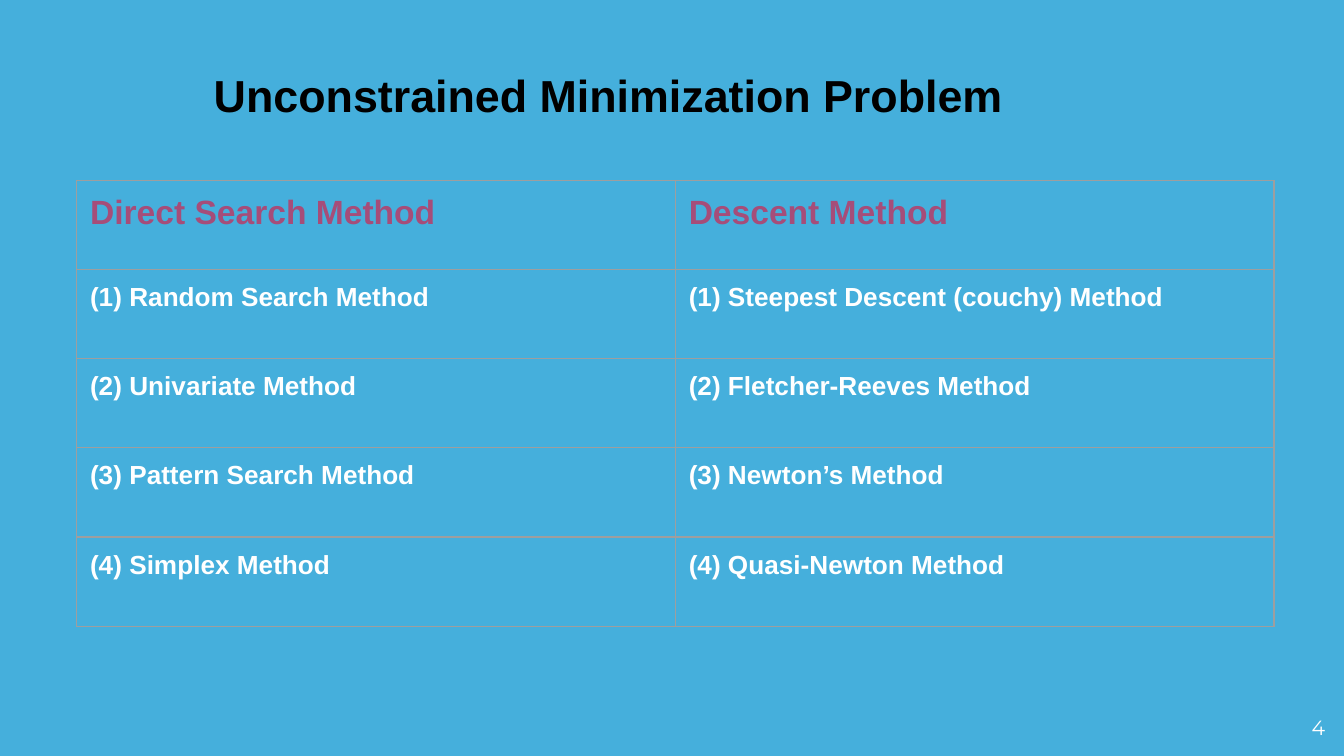
from pptx import Presentation
from pptx.dml.color import RGBColor
from pptx.enum.text import MSO_ANCHOR, MSO_AUTO_SIZE, PP_ALIGN
from pptx.oxml import parse_xml
from pptx.oxml.ns import nsdecls
from pptx.util import Inches, Pt

LEFT, RIGHT = PP_ALIGN.LEFT, PP_ALIGN.RIGHT
TOP = MSO_ANCHOR.TOP
NO_FIT = MSO_AUTO_SIZE.NONE

BLUE = RGBColor(0x45, 0xAF, 0xDC)
GREY = RGBColor(0x9E, 0x9E, 0x9E)
PLUM = RGBColor(0xA6, 0x4D, 0x79)
BLACK = RGBColor(0, 0, 0)
WHITE = RGBColor(0xFF, 0xFF, 0xFF)

TITLE = dict(name="Arial", size=Pt(24), bold=True, color=BLACK)
HEAD = dict(name="Arial", size=Pt(18), bold=True, color=PLUM)
ITEM = dict(name="Arial", size=Pt(14), bold=True, color=WHITE)
PAGE = dict(name="Montserrat", size=Pt(11), bold=False, color=WHITE)

PAD = Inches(0.1)
MARGINS = dict.fromkeys(
    ("margin_left", "margin_top", "margin_right", "margin_bottom"), PAD)
FRAME = dict(MARGINS, word_wrap=True, auto_size=NO_FIT, vertical_anchor=TOP)

METHODS = [
    ("Direct Search Method", "Descent Method"),
    ("(1) Random Search Method", "(1) Steepest Descent (couchy) Method"),
    ("(2) Univariate Method", "(2) Fletcher-Reeves Method"),
    ("(3) Pattern Search Method", "(3) Newton’s Method"),
    ("(4) Simplex Method", "(4) Quasi-Newton Method"),
]


def apply(target, values):
    for key, value in values.items():
        setattr(target, key, value)


def write(frame, text, style, align=LEFT):
    para = frame.paragraphs[0]
    para.alignment = align
    run = para.add_run()
    run.text = text
    for key, value in style.items():
        if key == "color":
            run.font.color.rgb = value
        else:
            setattr(run.font, key, value)


def add_title(slide, box, text):
    title = slide.shapes.title
    apply(title, dict(zip(("left", "top", "width", "height"), box)))
    apply(title.text_frame, FRAME)
    write(title.text_frame, text, TITLE)


def add_page(slide, box, text):
    frame = slide.shapes.add_textbox(*box).text_frame
    apply(frame, FRAME)
    write(frame, text, PAGE, RIGHT)


def set_edges(cell, color):
    """Draw all four borders of the cell."""
    props = cell._tc.get_or_add_tcPr()
    for spot, side in enumerate(("lnL", "lnR", "lnT", "lnB")):
        props.insert(spot, parse_xml(
            f'<a:{side} {nsdecls("a")} w="{Pt(0.75)}"><a:solidFill>'
            f'<a:srgbClr val="{color}"/></a:solidFill></a:{side}>'))


def add_methods(slide, box, rows):
    """Fill the box with an even grid, its first row as headings."""
    width, height = box[2:]
    count = len(rows[0])
    table = slide.shapes.add_table(len(rows), count, *box).table
    apply(table, dict(first_row=False, horz_banding=False))
    for col in table.columns:
        col.width = width // count
    for r, texts in enumerate(rows):
        table.rows[r].height = height // len(rows)
        for c, text in enumerate(texts):
            cell = table.cell(r, c)
            apply(cell, dict(MARGINS, vertical_anchor=TOP))
            cell.fill.background()
            write(cell.text_frame, text, ITEM if r else HEAD)
            set_edges(cell, GREY)


def main():
    deck = Presentation()
    deck.slide_width = Inches(10)
    deck.slide_height = deck.slide_width * 9 // 16
    slide = deck.slides.add_slide(deck.slide_layouts[5])
    fill = slide.background.fill
    fill.solid()
    fill.fore_color.rgb = BLUE

    def area(*sides):
        return [Inches(side) for side in sides]

    add_page(slide, area(9.36, 5.22, 0.6, 0.32), "4")
    add_title(slide, area(1.49, 0.4, 7.43, 0.95),
              "Unconstrained Minimization Problem")
    add_methods(slide, area(0.57, 1.34, 8.91, 3.32), METHODS)
    deck.save("out.pptx")


if __name__ == "__main__":
    main()
